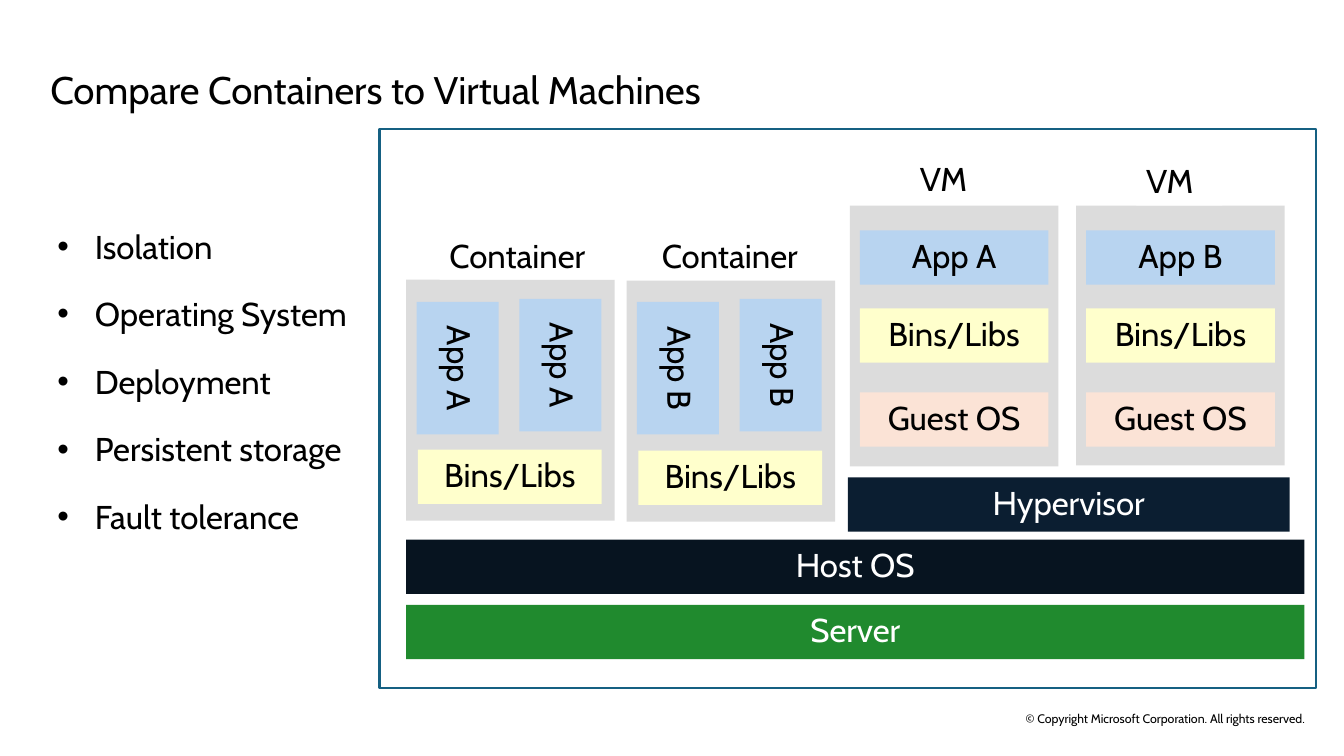
from pptx import Presentation
from pptx.dml.color import RGBColor
from pptx.enum.shapes import MSO_SHAPE
from pptx.enum.text import MSO_ANCHOR, PP_ALIGN
from pptx.oxml.ns import qn
from pptx.util import Emu, Pt
from lxml import etree

RECT = MSO_SHAPE.RECTANGLE
TOP, MIDDLE = MSO_ANCHOR.TOP, MSO_ANCHOR.MIDDLE
LEFT, CENTER = PP_ALIGN.LEFT, PP_ALIGN.CENTER
FONT = "Cabin"
PX = 9144  # EMU per px, 100 px to the inch
BLACK, WHITE = "000000", "FFFFFF"
GREY, BLUE, YELLOW, PEACH = "DCDCDC", "B8D4F0", "FFFFCC", "FBE3D6"

# Content
TITLE = "Compare Containers to Virtual Machines"
COPYRIGHT = "© Copyright Microsoft Corporation. All rights reserved."
TOPICS = ["Isolation", "Operating System", "Deployment",
          "Persistent storage", "Fault tolerance"]
BASE_LAYERS = [  # text, left, top, width, fill
    ("Server", 411, 612, 909, "208A2E"),
    ("Host OS", 411, 546, 909, "071420"),
    ("Hypervisor", 858, 483, 447, "0B1E31"),
]
VMS = [  # app, left, height, label left, label top
    ("App A", 860, 264, 921, 156),
    ("App B", 1089, 263, 1150, 158),
]
VM_LAYERS = [(None, 233, BLUE), ("Bins/Libs", 312, YELLOW), ("Guest OS", 397, PEACH)]
CONTAINERS = [  # app, left, top, label left
    ("App A", 411, 283, 445),
    ("App B", 634, 284, 660),
]
APP_SLOTS = [(-15, 331), (89, 328)]  # offset from container, top
PANEL_W, LAYER_H = 211, 55

prs = Presentation()
prs.slide_width, prs.slide_height = Emu(1360 * PX), Emu(765 * PX)
s = prs.slides.add_slide(prs.slide_layouts[6])


def rgb(color):
    return RGBColor.from_string(color)


def set_frame(sp, insets, anchor, wrap=True):
    tf = sp.text_frame
    tf.word_wrap = wrap
    tf.vertical_anchor = anchor
    tf.margin_left = tf.margin_right = Emu(insets[0] * PX)
    tf.margin_top = tf.margin_bottom = Emu(insets[1] * PX)
    return tf


def add_run(p, text, size, color, align, spacing=None):
    p.alignment = align
    p.line_spacing = spacing
    r = p.add_run()
    r.text = text
    r.font.name, r.font.size = FONT, Pt(size)
    r.font.color.rgb = rgb(color)


def add_text(x, y, w, h, insets=(0, 0), anchor=MIDDLE, wrap=True):
    sp = s.shapes.add_textbox(*(Emu(v * PX) for v in (x, y, w, h)))
    return set_frame(sp, insets, anchor, wrap)


def add_rect(x, y, w, h, fill=None, line=None):
    sp = s.shapes.add_shape(RECT, *(Emu(v * PX) for v in (x, y, w, h)))
    sp.shadow.inherit = False
    if fill:
        sp.fill.solid()
        sp.fill.fore_color.rgb = rgb(fill)
    else:
        sp.fill.background()
    if line:
        sp.line.color.rgb = rgb(line)
        sp.line.width = Pt(1.5)
    else:
        sp.line.fill.background()
    return sp


def add_block(text, x, y, w, h, fill, color=BLACK, rotation=0):
    sp = add_rect(x, y, w, h, fill)
    sp.rotation = rotation
    tf = set_frame(sp, (20, 16), MIDDLE)
    add_run(tf.paragraphs[0], text, 24, color, CENTER, 0.9)


def add_label(text, x, y, w):
    sp = add_rect(x, y, w, 50, WHITE)
    tf = set_frame(sp, (10, 5), TOP)
    add_run(tf.paragraphs[0], text, 24, BLACK, LEFT)


# Copyright line and title
tf = add_text(998, 720, 362, 15)
add_run(tf.paragraphs[0], COPYRIGHT, 9, BLACK, CENTER)
tf = add_text(51, 69, 1261, 45)
add_run(tf.paragraphs[0], TITLE, 28, BLACK, LEFT, Pt(32))

# Bulleted topics
tf = add_text(38, 193, 343, 361, (20, 16), TOP, wrap=False)
for i, topic in enumerate(TOPICS):
    p = tf.paragraphs[0] if i == 0 else tf.add_paragraph()
    p.space_after = Pt(6)
    pPr = p._p.get_or_add_pPr()
    pPr.set("marL", str(38 * PX))
    pPr.set("indent", str(-38 * PX))
    etree.SubElement(pPr, qn("a:buFont")).set("typeface", "Arial")
    etree.SubElement(pPr, qn("a:buChar")).set("char", "•")
    add_run(p, topic, 24, BLACK, LEFT, 1.5)

# Shared layers
for text, x, y, w, fill in BASE_LAYERS:
    add_block(text, x, y, w, LAYER_H, fill, WHITE)

# Virtual machines
layer_w = 191
for app, x, h, label_x, label_y in VMS:
    add_rect(x, 208, PANEL_W, h, GREY)
    for text, y, fill in VM_LAYERS:
        add_block(text or app, x + (PANEL_W - layer_w) // 2, y, layer_w, LAYER_H, fill)
    add_label("VM", label_x, label_y, 87)

# Containers
libs_w = 186
for app, x, y, label_x in CONTAINERS:
    add_rect(x, y, PANEL_W, 244, GREY)
    add_block("Bins/Libs", x + (PANEL_W - libs_w) // 2, y + 172, libs_w, LAYER_H, YELLOW)
    for dx, app_y in APP_SLOTS:
        add_block(app, x + dx, app_y, 134, 83, BLUE, rotation=90)
    add_label("Container", label_x, 233, 186)

# Diagram border
add_rect(384, 131, 948, 565, line="156082")

prs.save("out.pptx")
